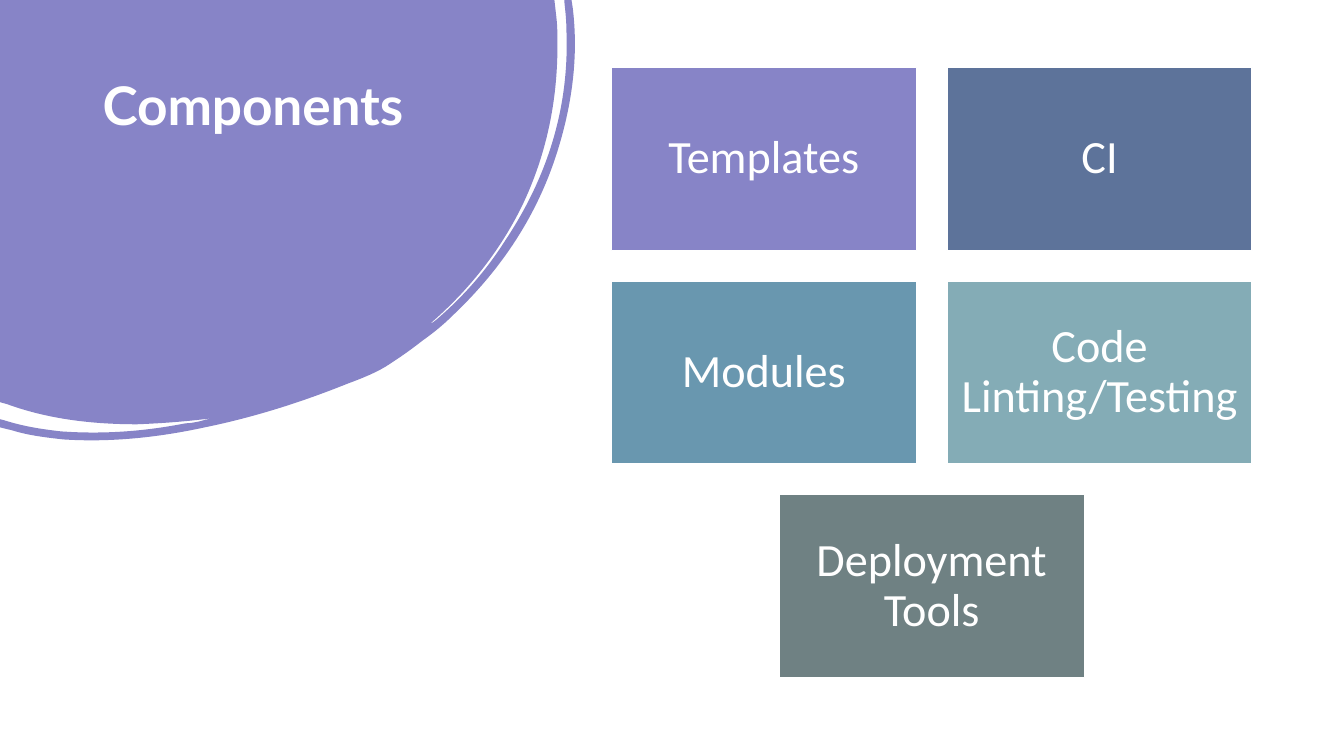
import dataclasses
import typing

import lxml.etree
import pptx
import pptx.dml.color
import pptx.enum.shapes
import pptx.enum.text
import pptx.oxml.ns
import pptx.util

Pt = pptx.util.Pt
WHITE = "FFFFFF"
LILAC = "8784C7"
LEFT, TOP = 436.6, 48.2
WIDE, HIGH = 218, 130.8
GAP = 21.8

Curve = tuple[float, ...]


@dataclasses.dataclass
class Card:
    label: str
    color: str
    col: float
    row: int


CARDS = [
    Card("Templates", LILAC, 0, 0),
    Card("CI", "5D739A", 1, 0),
    Card("Modules", "6997AF", 0, 1),
    Card("Code Linting/Testing", "84ACB6", 1, 1),
    Card("Deployment Tools", "6F8183", 0.5, 2),
]

BLOB: list[Curve] = [
    (396, 0),
    (397.4, 12.2),
    (398.2, 18.7, 398.2, 25.9, 398.2, 32.4),
    (398.2, 72.7, 390.2, 110.9, 373, 146.9),
    (357.1, 179.3, 334.8, 207.4, 307.4, 231.1),
    (308.9, 231.1, 309.6, 229.7, 311, 229),
    (330.5, 212.4, 347, 193.7, 360.7, 172.1),
    (391, 126.7, 406.8, 77, 404.6, 21.6),
    (404.6, 15.1, 403.9, 8.6, 403.2, 2.2),
    (403.2, 0),
    (408.2, 0),
    (409, 5),
    (413.3, 38.9, 409, 73.4, 398.2, 108),
    (383.8, 154.1, 357.8, 193, 322.6, 226.1),
    (316.1, 232.6, 308.9, 238.3, 301.7, 243.4),
    (294.5, 249.1, 287.3, 254.2, 278.6, 259.9),
    (270, 265.7, 259.2, 270, 247.7, 274.3),
    (215.3, 287.3, 181.4, 298.1, 146.2, 305.3),
    (113, 312.5, 79.2, 316.1, 45.4, 313.9),
    (32.4, 312.5, 20.2, 311, 8.6, 307.4),
    (0, 305.3),
    (0, 299.5),
    (2.9, 300.2),
    (16.6, 304.6, 30.2, 306.7, 43.9, 308.2),
    (74.2, 310.3, 103, 308.2, 132.5, 302.4),
    (136.1, 302.4, 139, 301.7, 142.6, 301),
    (145.4, 300.2, 148.3, 299.5, 151.2, 298.8),
    (133.9, 301, 115.9, 302.4, 97.9, 303.1),
    (66.2, 303.1, 34.6, 299.5, 5, 288.7),
    (0, 287.3),
]


def paint(target: typing.Any, color: str) -> None:
    target.rgb = pptx.dml.color.RGBColor.from_string(color)


def fill(shape: typing.Any, color: str) -> None:
    shape.shadow.inherit = False
    shape.fill.solid()
    paint(shape.fill.fore_color, color)


def bend(line: typing.Any, curve: Curve) -> None:
    line.tag = pptx.oxml.ns.qn("a:cubicBezTo")
    for child in list(line):
        line.remove(child)
    for x, y in zip(curve[::2], curve[1::2]):
        lxml.etree.SubElement(line, pptx.oxml.ns.qn("a:pt"),
                              x=str(int(Pt(x))), y=str(int(Pt(y))))


def draw_blob(slide: typing.Any) -> None:
    pen = slide.shapes.build_freeform(0, 0)
    pen.add_line_segments([(Pt(c[-2]), Pt(c[-1])) for c in BLOB], close=True)
    blob = pen.convert_to_shape()
    lines = list(blob.element.iter(pptx.oxml.ns.qn("a:lnTo")))
    for line, curve in zip(lines, BLOB):
        if len(curve) == 6:
            bend(line, curve)
    fill(blob, LILAC)
    blob.line.fill.background()


def write(shape: typing.Any, text: str, face: str, size: float, bold: bool) -> typing.Any:
    frame = shape.text_frame
    frame.word_wrap = True
    frame.text = text
    para = frame.paragraphs[0]
    para.line_spacing = 0.9
    font = para.runs[0].font
    font.name = face
    font.size = Pt(size)
    font.bold = bold
    paint(font.color, WHITE)
    return frame


def draw_title(slide: typing.Any) -> None:
    box = slide.shapes.add_textbox(Pt(66.2), Pt(53.3), Pt(253.4), Pt(159.8))
    write(box, "Components", "Lato", 38, True)
    for props in box.element.iter(pptx.oxml.ns.qn("a:rPr")):
        props.set("spc", "-10")


def draw_card(slide: typing.Any, card: Card) -> None:
    shape = slide.shapes.add_shape(
        pptx.enum.shapes.MSO_SHAPE.RECTANGLE,
        Pt(LEFT + card.col * (WIDE + GAP)), Pt(TOP + card.row * (HIGH + GAP)),
        Pt(WIDE), Pt(HIGH))
    fill(shape, card.color)
    paint(shape.line.color, WHITE)
    shape.line.width = Pt(1)
    frame = write(shape, card.label, "Calibri", 33, False)
    frame.vertical_anchor = pptx.enum.text.MSO_ANCHOR.MIDDLE
    frame.paragraphs[0].alignment = pptx.enum.text.PP_ALIGN.CENTER
    frame.margin_left = frame.margin_right = Pt(9.9)
    frame.margin_top = frame.margin_bottom = Pt(9.9)


def main() -> None:
    deck = pptx.Presentation()
    deck.slide_width, deck.slide_height = Pt(960), Pt(540)
    slide = deck.slides.add_slide(deck.slide_layouts[6])
    draw_blob(slide)
    draw_title(slide)
    for card in CARDS:
        draw_card(slide, card)
    deck.save("out.pptx")


if __name__ == "__main__":
    main()
